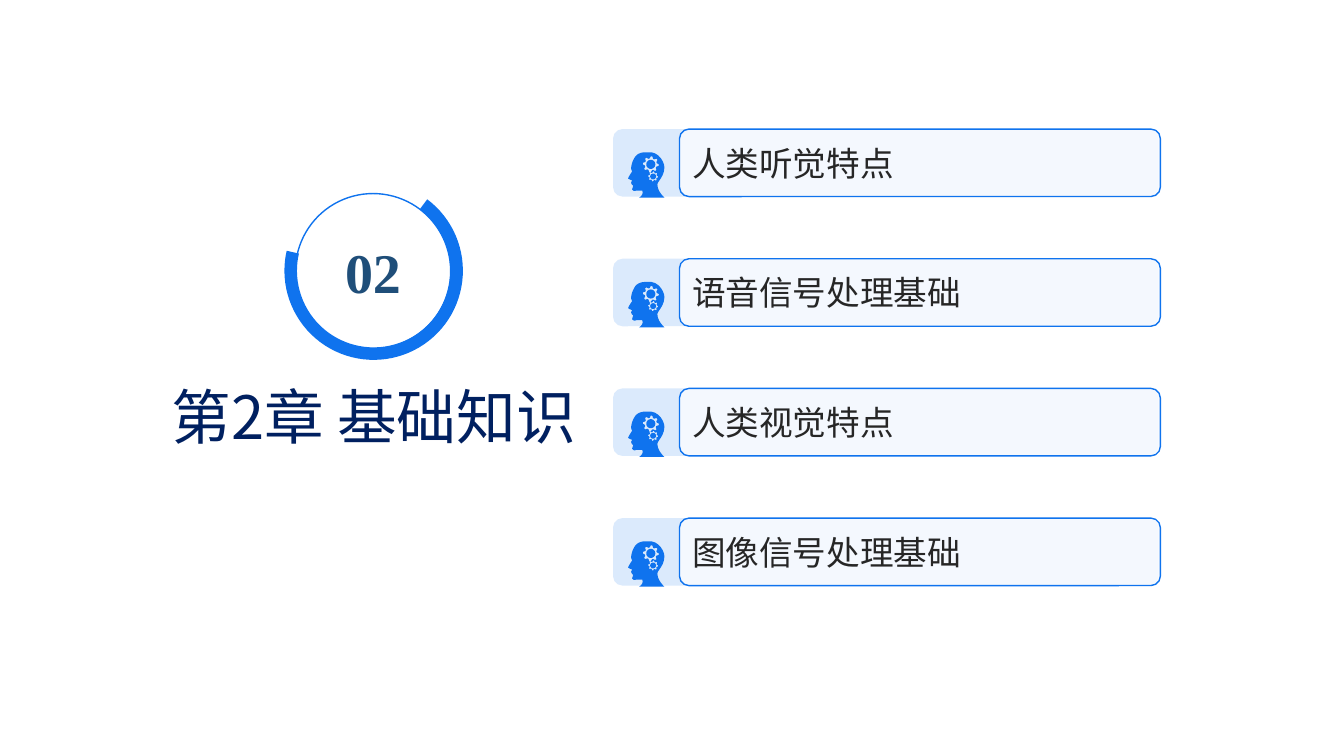
from dataclasses import dataclass
from math import cos, pi, sin

from pptx import Presentation
from pptx.dml.color import RGBColor
from pptx.enum.shapes import MSO_SHAPE
from pptx.enum.text import MSO_ANCHOR, MSO_AUTO_SIZE, PP_ALIGN
from pptx.oxml.ns import qn
from pptx.util import Inches, Pt
from lxml import etree

ROUNDED, ELLIPSE, ARC = MSO_SHAPE.ROUNDED_RECTANGLE, MSO_SHAPE.OVAL, MSO_SHAPE.BLOCK_ARC
LEFT, CENTER, MIDDLE = PP_ALIGN.LEFT, PP_ALIGN.CENTER, MSO_ANCHOR.MIDDLE
NO_AUTOFIT = MSO_AUTO_SIZE.NONE
WIDTH, HEIGHT = Inches(13.33), Inches(7.5)
BLUE, NAVY, STEEL, INK, WHITE = "0F73EE", "002060", "1F4E79", "262626", "FFFFFF"
LATIN_FONT, CHINESE_FONT = "Times New Roman", "Noto Sans CJK SC"

TOPICS = ["人类听觉特点", "语音信号处理基础", "人类视觉特点", "图像信号处理基础"]
FIRST_TOP, LAST_TOP, ROW_HEIGHT = 17.07, 68.53, 8.93
ROW_PITCH = (LAST_TOP - FIRST_TOP) / (len(TOPICS) - 1)
ICON_LEFT, ICON_DROP = 46.74, 3.07


@dataclass
class Box:
    """Position and size in percent of the slide."""
    left: float
    top: float
    width: float
    height: float

    def lengths(self) -> tuple:
        return (across(self.left), down(self.top),
                across(self.width), down(self.height))


@dataclass
class Gear:
    """Toothed wheel in hundredths of an inch within the icon."""
    x: float
    y: float
    outer: float
    root: float
    hub: float


GEARS = [Gear(22.5, 12, 8, 6, 4.5), Gear(24.8, 24, 5, 3.8, 2.9)]
TEETH = 8
HEAD_START = (17, 0)
# Two control points and an end point for each curve
HEAD_CURVES = [
    ((19, 0), (21, 0), (23, 0)), ((31, 1), (36, 10), (36, 15)),
    ((36, 24), (29, 29), (29, 32)), ((29, 39), (36, 45), (36, 45)),
    ((36, 45), (11, 45), (11, 45)), ((11, 45), (16, 42), (14, 38)),
    ((13, 38), (10, 38), (8, 38)), ((6, 39), (5, 38), (4, 37)),
    ((4, 36), (5, 34), (5, 33)), ((4, 33), (3, 31), (3, 30)),
    ((4, 28), (4, 28), (4, 28)), ((4, 28), (1, 27), (0, 26)),
    ((0, 25), (4, 19), (4, 19)), ((4, 19), (3, 17), (3, 16)),
    ((3, 16), (3, 11), (6, 6)), ((8, 2), (12, 0), (17, 0)),
]


def across(percent: float) -> int:
    return round(WIDTH * percent / 100)


def down(percent: float) -> int:
    return round(HEIGHT * percent / 100)


def color(value: str) -> RGBColor:
    return RGBColor.from_string(value)


def paint(shape, fill: str = "", opacity: int = 100, line: str = "") -> None:
    shape.shadow.inherit = False
    if fill:
        shape.fill.solid()
        shape.fill.fore_color.rgb = color(fill)
        if opacity < 100:
            tint = shape.fill._xPr.find(qn("a:solidFill"))[0]
            etree.SubElement(tint, qn("a:alpha"), val=str(opacity * 1000))
    else:
        shape.fill.background()
    if line:
        shape.line.color.rgb = color(line)
        shape.line.width = Pt(1)
    else:
        shape.line.fill.background()


def add_preset(slide, kind, box: Box, **look):
    shape = slide.shapes.add_shape(kind, *box.lengths())
    paint(shape, **look)
    return shape


def write(shape, text: str, size: float, ink: str, font: str = LATIN_FONT,
          align=LEFT, bold: bool = False, wrap: bool = True) -> None:
    frame = shape.text_frame
    frame.text = text
    frame.word_wrap = wrap
    frame.auto_size = NO_AUTOFIT
    frame.vertical_anchor = MIDDLE
    paragraph = frame.paragraphs[0]
    paragraph.alignment = align
    for run in paragraph.runs:
        run.font.name = font
        run.font.size = Pt(size)
        run.font.bold = bold
        run.font.color.rgb = color(ink)
        etree.SubElement(run.font._element, qn("a:ea"), typeface=CHINESE_FONT)


def head_outline(steps: int = 6) -> list:
    points = [HEAD_START]
    for first, second, end in HEAD_CURVES:
        start = points[-1]
        for step in range(1, steps + 1):
            t = step / steps
            u = 1 - t
            points.append(tuple(
                u ** 3 * a + 3 * u * u * t * b + 3 * u * t * t * c + t ** 3 * d
                for a, b, c, d in zip(start, first, second, end)))
    return points


def wheel(gear: Gear, radii: list) -> list:
    """Closed ring of points whose radius cycles through the given radii."""
    count = TEETH * len(radii)
    return [(gear.x + radius * cos(2 * pi * index / count),
             gear.y + radius * sin(2 * pi * index / count))
            for index, radius in enumerate(radii * TEETH)]


def add_thinking_head(slide, left: float, top: float) -> None:
    outlines = [head_outline()]
    for gear in GEARS:
        outlines.append(wheel(gear, [gear.outer, gear.outer, gear.root, gear.root]))
        outlines.append(wheel(gear, [gear.hub] * 3))
    # Hundredths of an inch, refined a hundredfold for smooth curves
    fine = [[(x * 100, y * 100) for x, y in outline] for outline in outlines]
    builder = slide.shapes.build_freeform(*fine[0][0], scale=91.44)
    builder.add_line_segments(fine[0][1:])
    for outline in fine[1:]:
        builder.move_to(*outline[0])
        builder.add_line_segments(outline[1:])
    paint(builder.convert_to_shape(across(left), down(top)), fill=BLUE)


def add_topic(slide, text: str, top: float) -> None:
    back = add_preset(slide, ROUNDED, Box(45.61, top, 40.59, ROW_HEIGHT),
                      fill=BLUE, opacity=15)
    add_thinking_head(slide, ICON_LEFT, top + ICON_DROP)
    label = add_preset(slide, ROUNDED, Box(50.56, top, 35.78, ROW_HEIGHT),
                       fill=WHITE, opacity=70, line=BLUE)
    for shape in (back, label):
        shape.adjustments[0] = 0.14
    write(label, text, 24, INK)


def main() -> None:
    presentation = Presentation()
    presentation.slide_width, presentation.slide_height = WIDTH, HEIGHT
    slide = presentation.slides.add_slide(presentation.slide_layouts[5])

    # Chapter title
    title = slide.shapes.title
    title.left, title.top, title.width, title.height = Box(
        10.88, 49.47, 33.83, 10.93).lengths()
    write(title, "第2章 基础知识", 42.6, NAVY, CHINESE_FONT, CENTER, wrap=False)

    # Chapter number in its ring
    number = add_preset(slide, ELLIPSE, Box(21.98, 25.6, 11.55, 20.53), line=BLUE)
    write(number, "02", 40, STEEL, align=CENTER, bold=True)
    ring = add_preset(slide, ARC, Box(21.16, 24, 13.28, 23.6), fill=BLUE)
    ring.rotation = 126.9
    for index, value in enumerate((108, 39.59, 0.07)):
        ring.adjustments[index] = value

    # Topic rows
    for row, topic in enumerate(TOPICS):
        add_topic(slide, topic, FIRST_TOP + row * ROW_PITCH)

    presentation.save("out.pptx")


if __name__ == "__main__":
    main()
